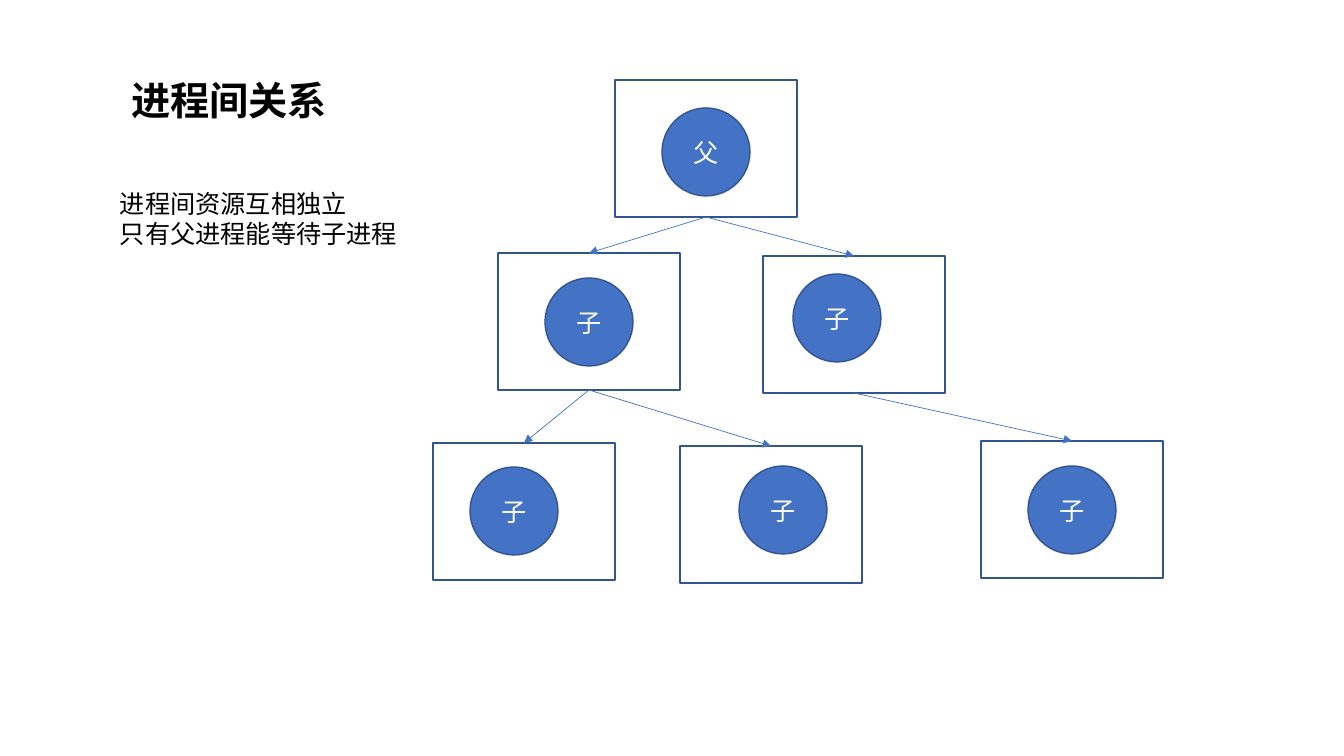
import pptx
import pptx.util
import pptx.dml.color
import pptx.enum.shapes
import pptx.enum.text
import pptx.oxml.ns
import lxml.etree

TITLE = "进程间关系"
NOTES = ["进程间资源互相独立", "只有父进程能等待子进程"]
NODES = [
    ("父", (615, 80), (662, 108)),
    ("子", (498, 253), (545, 278)),
    ("子", (763, 256), (793, 274)),
    ("子", (433, 443), (470, 467)),
    ("子", (680, 446), (739, 466)),
    ("子", (981, 441), (1028, 466)),
]
LINKS = [(0, 1), (0, 2), (1, 3), (1, 4), (2, 5)]
BOX = (182, 137)
DISC = (88, 88)
FONT = "Noto Sans CJK SC"
COLORS = {"fill": "4472C4", "edge": "325491", "text": "000000", "label": "FFFFFF"}
SCALE = 914400 / 100.8

SHAPE = pptx.enum.shapes.MSO_SHAPE
ALIGN = pptx.enum.text.PP_ALIGN
ANCHOR = pptx.enum.text.MSO_ANCHOR
qn = pptx.oxml.ns.qn


def emu(*sizes):
    return [round(size * SCALE) for size in sizes]


def color(name):
    return pptx.dml.color.RGBColor.from_string(COLORS[name])


def write(frame, lines, size, tone, align, anchor, bold=False):
    frame.auto_size = pptx.enum.text.MSO_AUTO_SIZE.NONE
    frame.vertical_anchor = anchor
    for i, line in enumerate(lines):
        para = frame.add_paragraph() if i else frame.paragraphs[0]
        para.alignment = align
        run = para.add_run()
        run.text = line
        font = run.font
        font.name, font.size, font.bold = FONT, pptx.util.Pt(size), bold
        font.color.rgb = color(tone)
        east = lxml.etree.SubElement(font._element, qn("a:ea"))
        east.set("typeface", FONT)


def draw(kind, spot, size):
    shape = slide.shapes.add_shape(kind, *emu(*spot, *size))
    shape.shadow.inherit = False
    shape.line.color.rgb = color("edge")
    shape.line.width = pptx.util.Pt(1)
    return shape


def link(start, end):
    line = slide.shapes.add_connector(
        pptx.enum.shapes.MSO_CONNECTOR.STRAIGHT, 0, 0, 0, 0)
    line.begin_connect(start, 2)
    line.end_connect(end, 0)
    line.line.color.rgb = color("fill")
    line.line.width = pptx.util.Pt(0.5)
    tail = lxml.etree.SubElement(line.line._get_or_add_ln(), qn("a:tailEnd"))
    tail.set("type", "triangle")
    lxml.etree.SubElement(line._element.spPr, qn("a:effectLst"))


deck = pptx.Presentation()
deck.slide_width, deck.slide_height = emu(1344, 756)
slide = deck.slides.add_slide(deck.slide_layouts[5])

title = slide.shapes.title
title.left, title.top, title.width, title.height = emu(121, 71, 219, 57)
title.text_frame.word_wrap = False
write(title.text_frame, [TITLE], 28, "text", ALIGN.LEFT, ANCHOR.MIDDLE, True)

for label, _, spot in NODES:
    disc = draw(SHAPE.OVAL, spot, DISC)
    disc.fill.solid()
    disc.fill.fore_color.rgb = color("fill")
    write(disc.text_frame, [label], 18, "label", ALIGN.CENTER, ANCHOR.MIDDLE)

boxes = [draw(SHAPE.RECTANGLE, spot, BOX) for _, spot, _ in NODES]
for box in boxes:
    box.fill.background()

for start, end in LINKS:
    link(boxes[start], boxes[end])

note = slide.shapes.add_textbox(*emu(110, 183, 300, 72))
note.text_frame.word_wrap = False
write(note.text_frame, NOTES, 18, "text", ALIGN.LEFT, ANCHOR.TOP)

deck.save("out.pptx")
